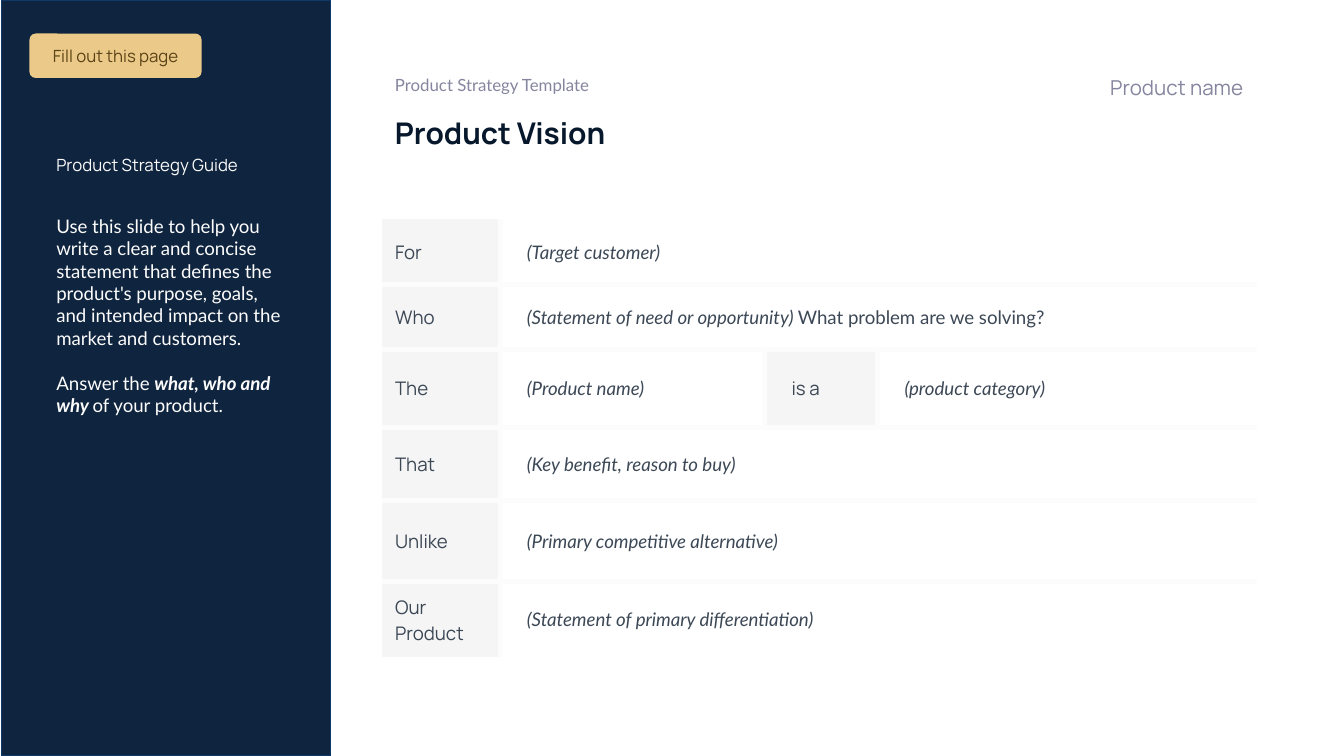
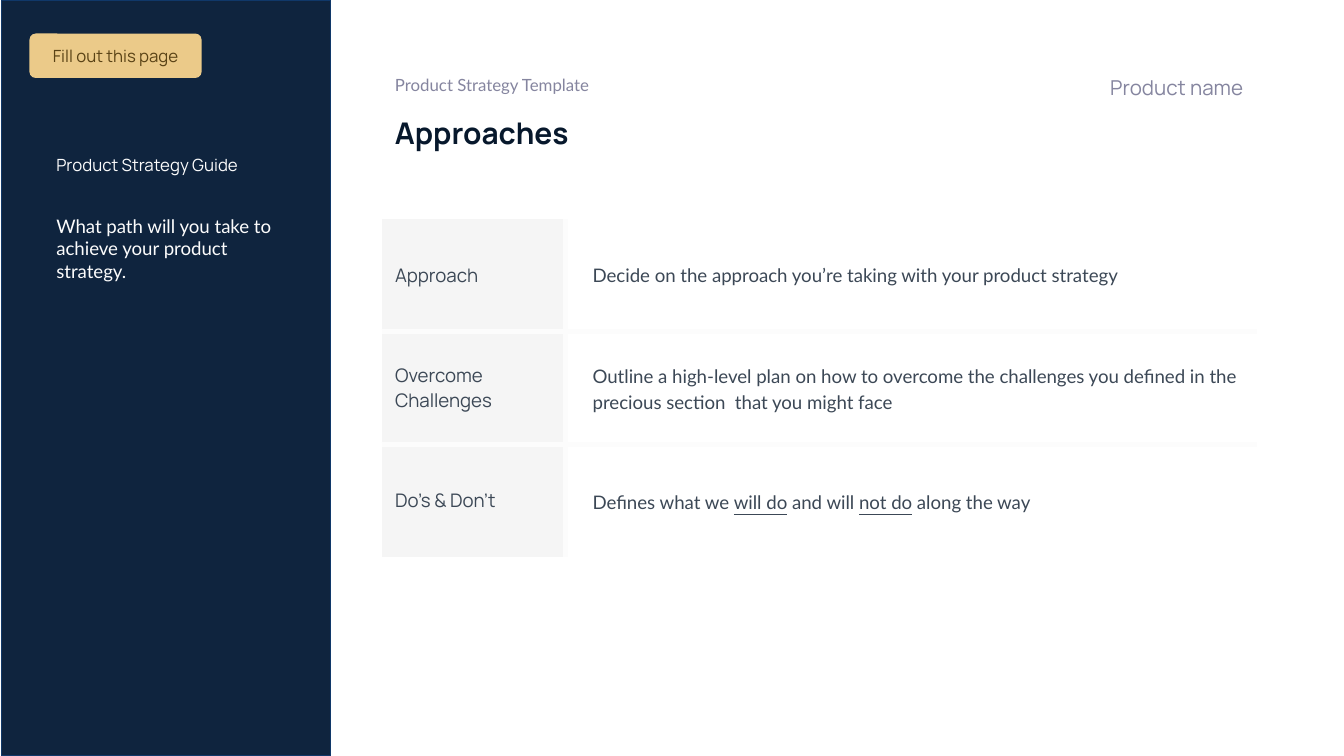
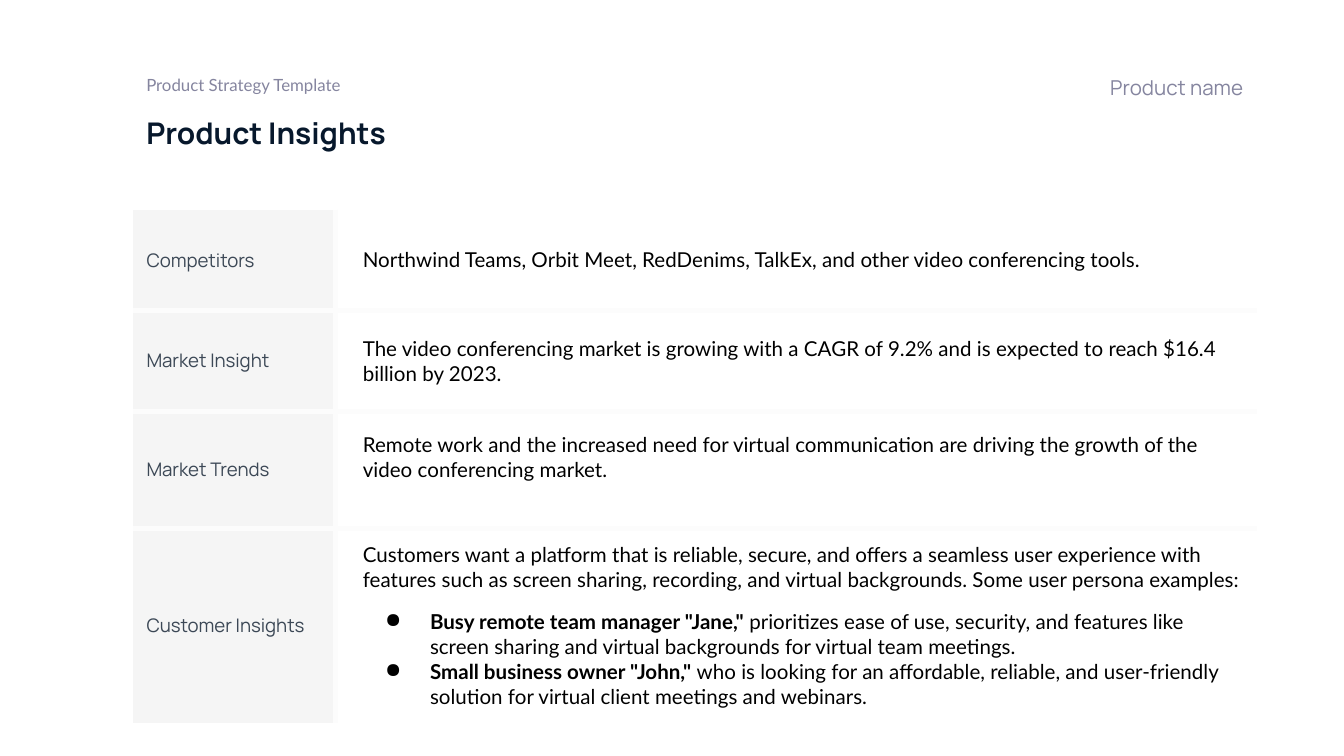
from dataclasses import dataclass

import pptx
import pptx.dml.color
import pptx.enum.shapes
import pptx.enum.text
import pptx.oxml
import pptx.oxml.ns
import pptx.util

Pt = pptx.util.Pt
RGB = pptx.dml.color.RGBColor.from_string
Anchor = pptx.enum.text.MSO_ANCHOR
Align = pptx.enum.text.PP_ALIGN
Shape = pptx.enum.shapes.MSO_SHAPE


@dataclass(frozen=True)
class Theme:
    navy: str = "0F243E"
    navy_edge: str = "103869"
    gold: str = "EBCA89"
    label_fill: str = "F5F5F5"
    rule: str = "FCFCFC"
    rule_width: float = 3
    # Text roles: font, size, colour
    title: tuple = ("Manrope", 16, "07182C")
    product: tuple = ("Manrope", 11, "85859F")
    eyebrow: tuple = ("Lato", 9, "85859F")
    badge: tuple = ("Manrope", 9, "5A4316")
    guide_title: tuple = ("Manrope", 9, "FCFCFC")
    guide: tuple = ("Lato", 10, "FCFCFC")
    label: tuple = ("Manrope", 10, "3C4856")
    prompt: tuple = ("Lato", 10, "3C4856")
    insight: tuple = ("Lato", 11, "000000")


THEME = Theme()
NO_STYLE = "{2D5ABB26-0587-4C30-8999-92F81FD0307C}"


def write(holder, role, paragraphs, margins=(7.2, 7.2, 7.2, 7.2),
          anchor=Anchor.TOP, align=Align.LEFT):
    """Fill a shape or cell; a paragraph is a list of (text, flags from "biu")."""
    frame = holder.text_frame
    box = holder if hasattr(holder, "vertical_anchor") else frame
    box.margin_left, box.margin_top, box.margin_right, box.margin_bottom = map(Pt, margins)
    box.vertical_anchor = anchor
    frame.word_wrap = True
    font, size, color = role
    for index, runs in enumerate(paragraphs):
        paragraph = frame.add_paragraph() if index else frame.paragraphs[0]
        paragraph.alignment = align
        for text, flags in runs:
            run = paragraph.add_run()
            run.text = text
            run.font.name = font
            run.font.size = Pt(size)
            run.font.color.rgb = RGB(color)
            run.font.bold = "b" in flags
            run.font.italic = "i" in flags
            run.font.underline = "u" in flags


def add_grid(slide, left, top, widths, heights):
    """Add a table without a style, sized by its columns and rows."""
    frame = slide.shapes.add_table(len(heights), len(widths), Pt(left), Pt(top),
                                   Pt(sum(widths)), Pt(sum(heights)))
    frame._element.xpath(".//a:tableStyleId")[0].text = NO_STYLE
    table = frame.table
    table.first_row = table.horz_banding = False
    for column, width in zip(table.columns, widths):
        column.width = Pt(width)
    for row, height in zip(table.rows, heights):
        row.height = Pt(height)
    return table


# Grid rows alternate label, content, label, content; a short row merges to the right.
pages = [
    {
        "title": "Product Vision",
        "guide": [
            [("Use this slide to help you write a clear and concise statement that "
              "defines the product's purpose, goals, and intended impact on the "
              "market and customers.", "")],
            [("Answer the ", ""), ("what, who and why ", "bi"), ("of your product.", "")],
        ],
        "left": 204.5, "top": 117.4, "content": THEME.prompt,
        "widths": [63.4, 141.8, 60.5, 203],
        "heights": [35.2, 34.5, 41.8, 39.5, 43.2, 40.3],
        "rows": [
            ["For", [[("(Target customer)", "i")]]],
            ["Who", [[("(Statement of need or opportunity) ", "i"),
                      ("What problem are we solving?", "")]]],
            ["The", [[("(Product name)", "i")]], "is a", [[("(product category)", "i")]]],
            ["That", [[("(Key benefit, reason to buy)", "i")]]],
            ["Unlike", [[("(Primary competitive alternative)", "i")]]],
            ["Our Product", [[("(Statement of primary differentiation)", "i")]]],
        ],
    },
    {
        "title": "Approaches",
        "guide": [[("What path will you take to achieve your product strategy.", "")]],
        "left": 204.5, "top": 117.4, "content": THEME.prompt,
        "widths": [98.6, 370.1],
        "heights": [60.3] * 3,
        "rows": [
            ["Approach", [[("Decide on the approach you’re taking with your product "
                            "strategy", "")]]],
            ["Overcome Challenges",
             [[("Outline a high-level plan on how to overcome the challenges you defined "
                "in the precious section  that you might face", "")]]],
            ["Do’s & Don’t",
             [[("Defines what we ", ""), ("will do", "u"), (" and will ", ""),
               ("not do", "u"), (" along the way", "")]]],
        ],
    },
    {
        "title": "Product Insights",
        "guide": None,
        "left": 71.3, "top": 112.3, "content": THEME.insight,
        "widths": [108.7, 493.2],
        "heights": [54, 54, 62.6, 104.4],
        "rows": [
            ["Competitors",
             [[("Northwind Teams, Orbit Meet, RedDenims, TalkEx, and other video "
                "conferencing tools.", "")]]],
            ["Market Insight",
             [[("The video conferencing market is growing with a CAGR of 9.2% and is "
                "expected to reach $16.4 billion by 2023.", "")]]],
            ["Market Trends",
             [[("Remote work and the increased need for virtual communication are "
                "driving the growth of the video conferencing market.", "")]]],
            ["Customer Insights",
             [[("Customers want a platform that is reliable, secure, and offers a "
                "seamless user experience with features such as screen sharing, "
                "recording, and virtual backgrounds. Some user persona examples:", "")],
              [('Busy remote team manager "Jane," ', "b"),
               ("prioritizes ease of use, security, and features like screen sharing "
                "and virtual backgrounds for virtual team meetings.", "")],
              [('Small business owner "John," ', "b"),
               ("who is looking for an affordable, reliable, and user-friendly solution "
                "for virtual client meetings and webinars.", "")]]],
        ],
    },
]

deck = pptx.Presentation()
deck.slide_width, deck.slide_height = Pt(720), Pt(405)
grids = {}

for page in pages:
    slide = deck.slides.add_slide(deck.slide_layouts[6])
    left = page["left"]

    # Header
    headings = [
        (page["title"], "b", THEME.title, (left, 54, 458, 33.8), 7.2, Anchor.TOP, Align.LEFT),
        ("Product name", "", THEME.product, (414, 33.1, 259.2, 23.8), 3.6,
         Anchor.BOTTOM, Align.RIGHT),
        ("Product Strategy Template", "", THEME.eyebrow, (left, 34.6, 154, 19.4), 7.2,
         Anchor.TOP, Align.LEFT),
    ]
    for text, flags, role, place, bottom, anchor, align in headings:
        heading = slide.shapes.add_textbox(*map(Pt, place))
        write(heading, role, [[(text, flags)]], (7.2, 7.2, 7.2, bottom), anchor, align)

    # Guide sidebar
    if page["guide"]:
        sidebar = slide.shapes.add_shape(Shape.RECTANGLE, Pt(0.7), 0, Pt(176.4), Pt(405))
        sidebar.shadow.inherit = False
        sidebar.fill.solid()
        sidebar.fill.fore_color.rgb = RGB(THEME.navy)
        sidebar.line.color.rgb = RGB(THEME.navy_edge)
        sidebar.line.width = Pt(0.75)

        guide = add_grid(slide, 15.8, 30.2, [149], [38.9, 38.9, 90])
        for cell in guide.iter_cells():
            cell.fill.solid()
            cell.fill.fore_color.rgb = RGB(THEME.navy)
        write(guide.cell(1, 0), THEME.guide_title, [[("Product Strategy Guide", "")]],
              (14.4, 7.2, 14.4, 7.2), Anchor.MIDDLE)
        write(guide.cell(2, 0), THEME.guide, page["guide"], (14.4, 7.2, 12.2, 7.2))
        for paragraph in guide.cell(2, 0).text_frame.paragraphs[1:]:
            paragraph.space_before = Pt(12)

    # Strategy grid
    grid = add_grid(slide, left, page["top"], page["widths"], page["heights"])
    grids[page["title"]] = grid
    last_row, last_column = len(page["heights"]) - 1, len(page["widths"]) - 1
    for r, entries in enumerate(page["rows"]):
        if len(entries) <= last_column:
            grid.cell(r, len(entries) - 1).merge(grid.cell(r, last_column))
        for c, entry in enumerate(entries):
            cell = grid.cell(r, c)
            inner_sides = {"L": c > 0, "R": c < len(entries) - 1, "T": r > 0, "B": r < last_row}
            for side, is_inner in inner_sides.items():
                if is_inner:
                    cell._tc.get_or_add_tcPr().append(pptx.oxml.parse_xml(
                        f'<a:ln{side} {pptx.oxml.ns.nsdecls("a")} w="{Pt(THEME.rule_width)}">'
                        f'<a:solidFill><a:srgbClr val="{THEME.rule}"/></a:solidFill>'
                        f'</a:ln{side}>'))
            margins = (14.4 if c else 7.2, 7.2, 7.2, 7.2)
            if c % 2:
                cell.fill.background()
                write(cell, page["content"], entry, margins, Anchor.MIDDLE)
            else:
                cell.fill.solid()
                cell.fill.fore_color.rgb = RGB(THEME.label_fill)
                write(cell, THEME.label, [[(entry, "")]], margins, Anchor.MIDDLE)

    # Badge
    if page["guide"]:
        badge = slide.shapes.add_shape(Shape.ROUNDED_RECTANGLE, Pt(15.8), Pt(18), Pt(92.2), Pt(23.8))
        badge.adjustments[0] = 0.14
        badge.shadow.inherit = False
        badge.fill.solid()
        badge.fill.fore_color.rgb = RGB(THEME.gold)
        badge.line.fill.background()
        write(badge, THEME.badge, [[("Fill out this page", "")]],
              anchor=Anchor.MIDDLE, align=Align.CENTER)

for r in (1, 2):
    plan = grids["Approaches"].cell(r, 1).text_frame.paragraphs[0]
    plan.line_spacing = 1.15
    plan.space_after = Pt(10)

insights = grids["Product Insights"]
insights.cell(2, 1).margin_bottom = Pt(20.4)
personas = insights.cell(3, 1).text_frame.paragraphs[1:]
personas[0].space_before = Pt(9.6)
for persona in personas:
    properties = persona._p.get_or_add_pPr()
    properties.set("marL", str(Pt(36)))
    properties.set("indent", str(Pt(-24)))
    properties.append(pptx.oxml.parse_xml(
        f'<a:buChar {pptx.oxml.ns.nsdecls("a")} char="●"/>'))

deck.save("out.pptx")
